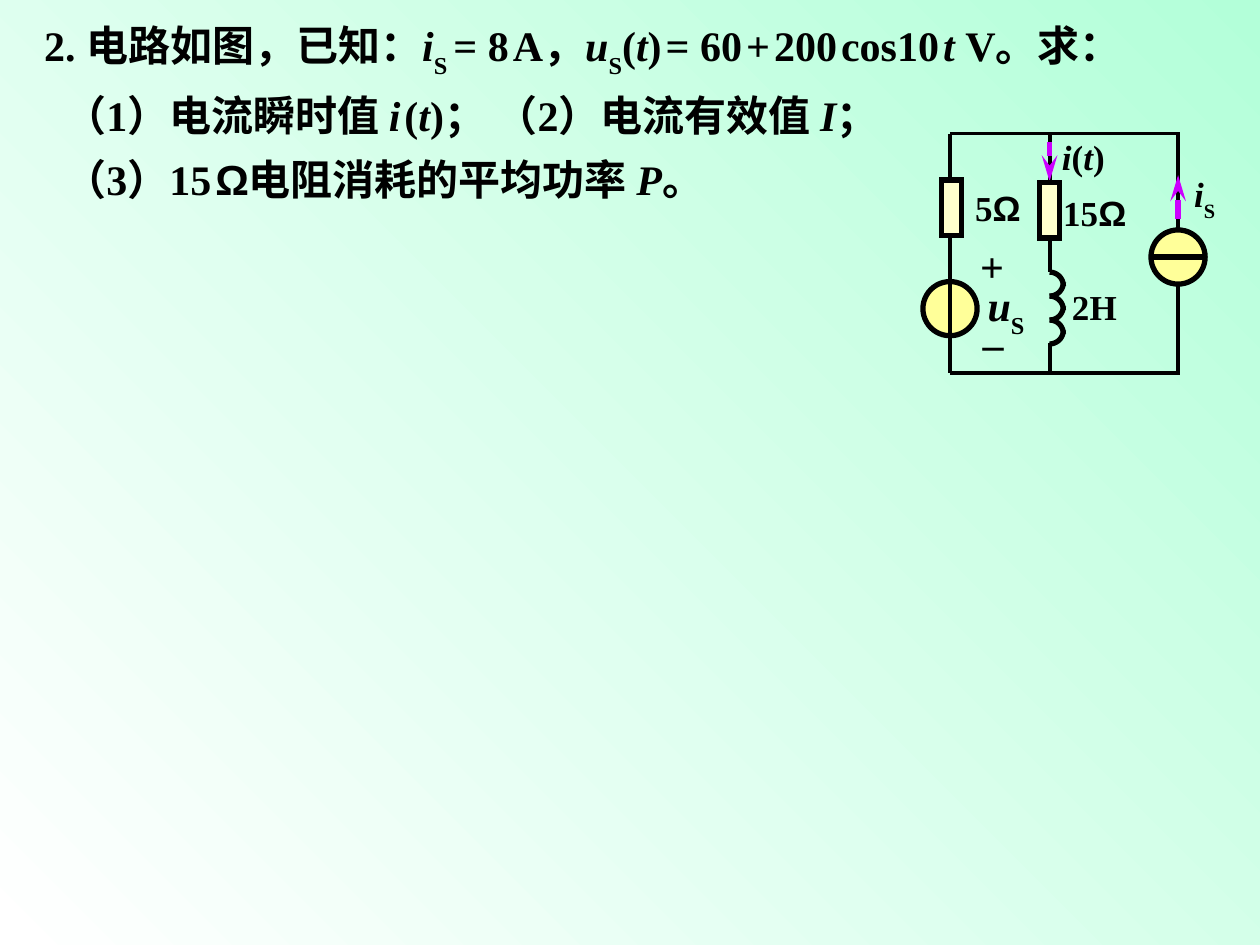
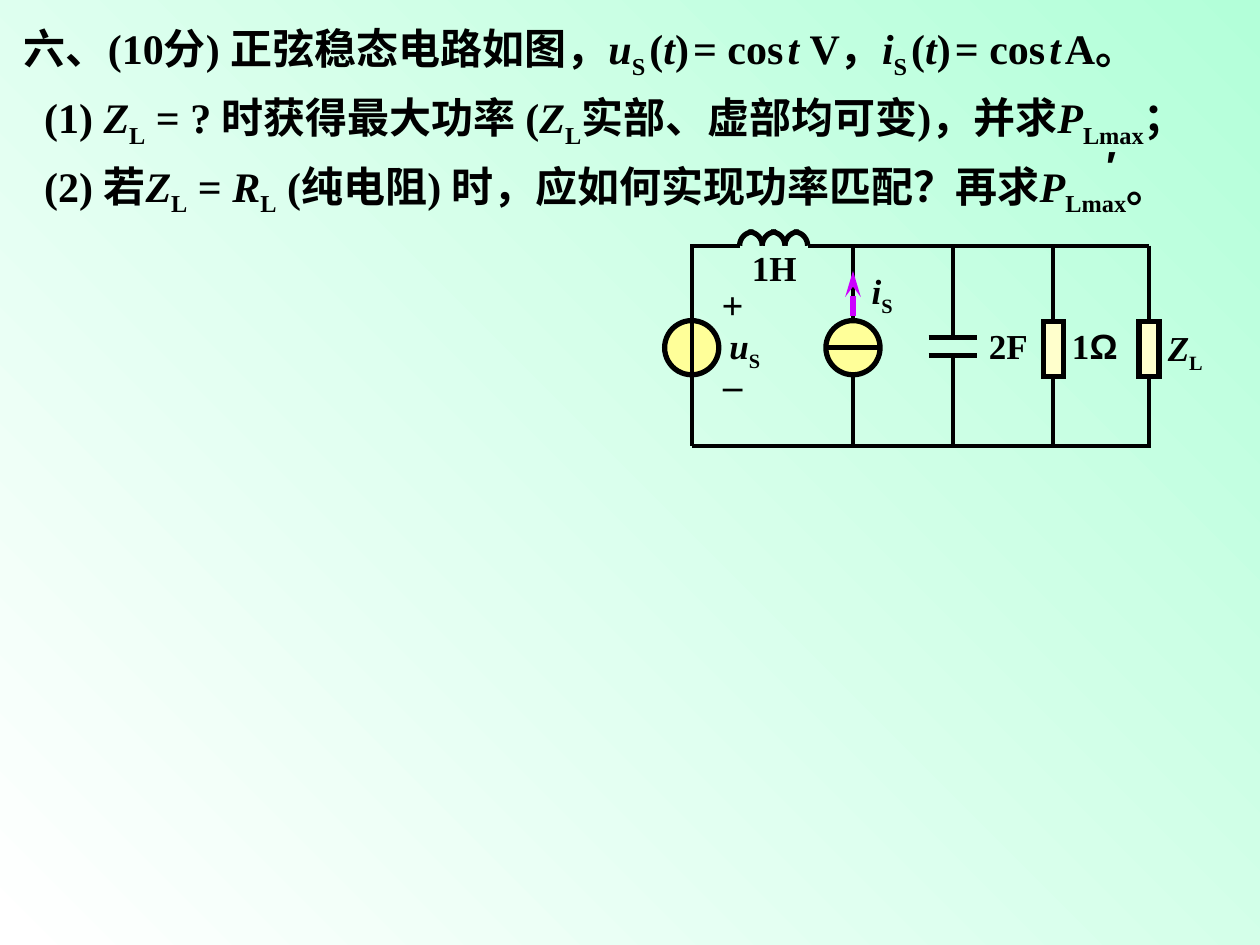
from math import cos, pi, sin

from lxml.etree import SubElement
from pptx import Presentation
from pptx.dml.color import RGBColor
from pptx.enum.shapes import MSO_CONNECTOR as Connector, MSO_SHAPE as Shape
from pptx.enum.text import MSO_ANCHOR as Anchor, MSO_AUTO_SIZE as AutoSize, PP_ALIGN as Align
from pptx.oxml.ns import qn
from pptx.util import Inches, Pt

BLACK = RGBColor(0x00, 0x00, 0x00)
MINT = RGBColor(0xB3, 0xFF, 0xD9)
WHITE = RGBColor(0xFF, 0xFF, 0xFF)
SOURCE_YELLOW = RGBColor(0xFF, 0xFF, 0x99)
RESISTOR_CREAM = RGBColor(0xFF, 0xFF, 0xCC)
ARROW_PURPLE = RGBColor(0xCC, 0x00, 0xFF)
FONT, SYMBOL_FONT = "Times New Roman", "Arial"
WIRE, SYMBOL = 2.25, 3
SOURCE_SIZE = 0.43
RESISTOR_WIDTH, RESISTOR_HEIGHT = 0.16, 0.44
BULGE, ARC_STEPS = 0.11, 12
TITLE_LAYOUT = 5


def paint_background(master):
    """Give every slide the gradient from mint at top right to white."""
    fill = master.background.fill
    fill.gradient()
    fill.gradient_angle = 225
    for stop, color in zip(fill.gradient_stops, (MINT, WHITE)):
        stop.color.rgb = color


def write_formula(paragraph, markup, size, drop):
    """Write runs split by |, led by * italic, _ subscript, ~ thin gap or # symbol."""
    paragraph.alignment = Align.LEFT
    font = paragraph.font
    font.name, font.size, font.bold = FONT, Pt(size), True
    font.color.rgb = BLACK
    for part in markup.split("|"):
        style = part[0] if part[0] in "*_~#" else ""
        run = paragraph.add_run()
        run.text = part[len(style):]
        if style == "*":
            run.font.italic = True
        elif style == "#":
            run.font.name = SYMBOL_FONT
        elif style:
            run._r.get_or_add_rPr().set("baseline", str(-drop * 1000))
        if style == "~":
            run.font.size = Pt(16)


def add_problem(presentation, left, top, drop, lines):
    """Add a slide whose title states the problem, with its questions indented."""
    slide = presentation.slides.add_slide(presentation.slide_layouts[TITLE_LAYOUT])
    title = slide.shapes.title
    title.left, title.top = Inches(left), Inches(top)
    title.width, title.height = Inches(10 - left), Inches(1.74)
    frame = title.text_frame
    frame.word_wrap, frame.auto_size = True, AutoSize.NONE
    frame.vertical_anchor = Anchor.TOP
    frame.margin_right = 0
    for number, line in enumerate(lines):
        paragraph = frame.add_paragraph() if number else frame.paragraphs[0]
        paragraph.line_spacing = 1.2
        if number:
            paragraph._p.get_or_add_pPr().set("marL", str(Inches(0.16)))
        write_formula(paragraph, line, 24, drop)
    return slide


def add_label(slide, left, top, markup, size=20, drop=25):
    """Add a component label."""
    box = slide.shapes.add_textbox(Inches(left), Inches(top), Inches(0.8), Inches(0.5))
    box.text_frame.word_wrap = True
    write_formula(box.text_frame.paragraphs[0], markup, size, drop)


def add_line(slide, start, end, width=WIRE, color=BLACK):
    """Add a straight line between two points."""
    line = slide.shapes.add_connector(Connector.STRAIGHT, *map(Inches, start + end))
    line.line.color.rgb, line.line.width = color, Pt(width)
    SubElement(line._element.spPr, qn("a:effectLst"))
    return line


def add_current_arrow(slide, x, start, end):
    """Add a vertical arrow showing a current's direction."""
    arrow = add_line(slide, (x, start), (x, end), SYMBOL, ARROW_PURPLE)
    SubElement(arrow.get_or_add_ln(), qn("a:tailEnd"), type="stealth", w="med", len="lg")


def format_outline(shape, width, color=None):
    """Give a shape a black outline with sharp corners and an optional fill."""
    shape.shadow.inherit = False
    if color is None:
        shape.fill.background()
    else:
        shape.fill.solid()
        shape.fill.fore_color.rgb = color
    shape.line.color.rgb, shape.line.width = BLACK, Pt(width)
    SubElement(shape.get_or_add_ln(), qn("a:miter"), lim="800000")


def add_path(slide, points, width=WIRE):
    """Add an open outline through the points."""
    start, *others = [tuple(map(Inches, point)) for point in points]
    builder = slide.shapes.build_freeform(*start)
    builder.add_line_segments(others, close=False)
    format_outline(builder.convert_to_shape(), width)


def add_symbol(slide, kind, x, y, width, height, color):
    """Add a heavy-lined preset shape centred on a point."""
    symbol = slide.shapes.add_shape(
        kind, Inches(x - width / 2), Inches(y - height / 2), Inches(width), Inches(height))
    format_outline(symbol, SYMBOL, color)


def add_source(slide, x, y):
    """Add the circle of a source."""
    add_symbol(slide, Shape.OVAL, x, y, SOURCE_SIZE, SOURCE_SIZE, SOURCE_YELLOW)


def add_current_source(slide, x, y):
    """Add a source circle with its crossbar."""
    add_source(slide, x, y)
    add_line(slide, (x - SOURCE_SIZE / 2, y), (x + SOURCE_SIZE / 2, y), SYMBOL)


def add_resistor(slide, x, y):
    """Add an upright resistor."""
    add_symbol(slide, Shape.RECTANGLE, x, y, RESISTOR_WIDTH, RESISTOR_HEIGHT, RESISTOR_CREAM)


def add_coil(slide, x, y, turn, upright):
    """Add a three-turn inductor of quarter arcs, running down or right."""
    angles = [pi / 2 * step / ARC_STEPS for step in range(ARC_STEPS + 1)]
    for number in range(3):
        for edge, direction in ((number * turn, 1), ((number + 1) * turn, -1)):
            curve = [(edge + direction * BULGE * (1 - cos(angle)), BULGE * sin(angle))
                     for angle in angles]
            add_path(slide, [(x + out, y + along) if upright else (x + along, y - out)
                             for along, out in curve], SYMBOL)


def add_capacitor(slide, x, top, bottom, upper_plate, lower_plate):
    """Add a capacitor with its two leads."""
    for plate, end in ((upper_plate, top), (lower_plate, bottom)):
        add_line(slide, (x - 0.19, plate), (x + 0.19, plate), SYMBOL)
        add_line(slide, (x, end), (x, plate))


def draw_power_circuit(slide):
    """Draw the circuit with two resistor branches and a current source."""
    left, middle, right, top, bottom = 7.54, 8.33, 9.35, 1.06, 2.96
    add_source(slide, left, 2.45)
    for end, rail in ((2.23, top), (2.2, bottom)):
        add_path(slide, [(right, end), (right, rail), (left, rail)])
    add_line(slide, (left, top), (left, bottom))
    add_line(slide, (middle, top), (middle, 2.16))
    add_coil(slide, middle, 2.16, 0.19, upright=True)
    add_line(slide, (middle, 2.72), (middle, bottom))
    add_current_source(slide, right, 2.04)
    add_current_arrow(slide, middle, 1.13, 1.44)
    add_current_arrow(slide, right, 1.74, 1.39)
    add_resistor(slide, 7.55, 1.65)
    add_resistor(slide, middle, 1.67)
    for x, y, markup in (
        (8.33, 1.03, "*i|(|*t|)"),
        (8.34, 1.47, "15|#Ω"),
        (7.64, 1.43, "5|#Ω"),
        (8.41, 2.22, "2H"),
        (9.38, 1.32, "*i|_S"),
    ):
        add_label(slide, x, y, markup, drop=30)
    for x, y, markup in ((7.68, 1.86, "+"), (7.74, 2.17, "*u|_S"), (7.7, 2.47, "–")):
        add_label(slide, x, y, markup, 24, 30)


def draw_matching_circuit(slide):
    """Draw the sinusoidal circuit feeding the load impedance."""
    left, source, capacitor, resistor, load = 5.49, 6.77, 7.56, 8.36, 9.12
    top, bottom, middle = 1.95, 3.54, 2.76
    add_source(slide, left, middle)
    add_path(slide, [(5.87, top), (left, top), (left, bottom)])
    add_coil(slide, 5.87, top, 0.18, upright=False)
    add_path(slide, [(6.41, top), (source, top), (source, bottom)])
    add_line(slide, (source, top), (load, top))
    add_path(slide, [(load, top), (load, bottom), (left, bottom)])
    add_line(slide, (resistor, top), (resistor, bottom))
    add_capacitor(slide, capacitor, top, bottom, 2.68, 2.82)
    add_current_source(slide, source, middle)
    add_current_arrow(slide, source, 2.51, 2.15)
    for x in (resistor, load):
        add_resistor(slide, x, 2.77)
    for x, y, markup in (
        (5.87, 1.91, "1H"),
        (5.69, 2.53, "*u|_S"),
        (6.82, 2.09, "*i|_S"),
        (7.75, 2.53, "2F"),
        (8.41, 2.53, "1|#Ω"),
        (9.17, 2.54, "*Z|_L"),
    ):
        add_label(slide, x, y, markup)
    for x, y, sign in ((5.63, 2.18, "+"), (5.64, 2.82, "–")):
        add_label(slide, x, y, sign, 22)
    add_label(slide, 8.68, 1.06, "#′", 24)


def main():
    """Build both problem slides."""
    presentation = Presentation()
    presentation.slide_width, presentation.slide_height = Inches(10), Inches(7.5)
    paint_background(presentation.slide_master)
    draw_power_circuit(add_problem(presentation, 0.25, 0.01, 30, (
        "2. 电路如图，已知：|*i|_S |= 8|~ |A，|*u|_S|(|*t|)|~ |= 60|~ |+|~ |200|~ |cos10"
        "|~ |*t |V。求：",
        "（1）电流瞬时值 |*i|~ |(|*t|)； （2）电流有效值 |*I|；",
        "（3）15|~ |#Ω|电阻消耗的平均功率 |*P|。",
    )))
    draw_matching_circuit(add_problem(presentation, 0.09, 0.04, 25, (
        "六、(10分) 正弦稳态电路如图，|*u|_S|~ |(|*t|)|~ |= cos|~ |*t |V，"
        "|*i|_S|~ |(|*t|)|~ |= cos|~ |*t|~ |A。",
        "(1) |*Z|_L| = ? 时获得最大功率 (|*Z|_L|实部、虚部均可变)，并求|*P|_Lmax|；",
        "(2) 若|*Z|_L| = |*R|_L| (纯电阻) 时，应如何实现功率匹配？再求|*P|_Lmax|。",
    )))
    presentation.save("out.pptx")


if __name__ == "__main__":
    main()
